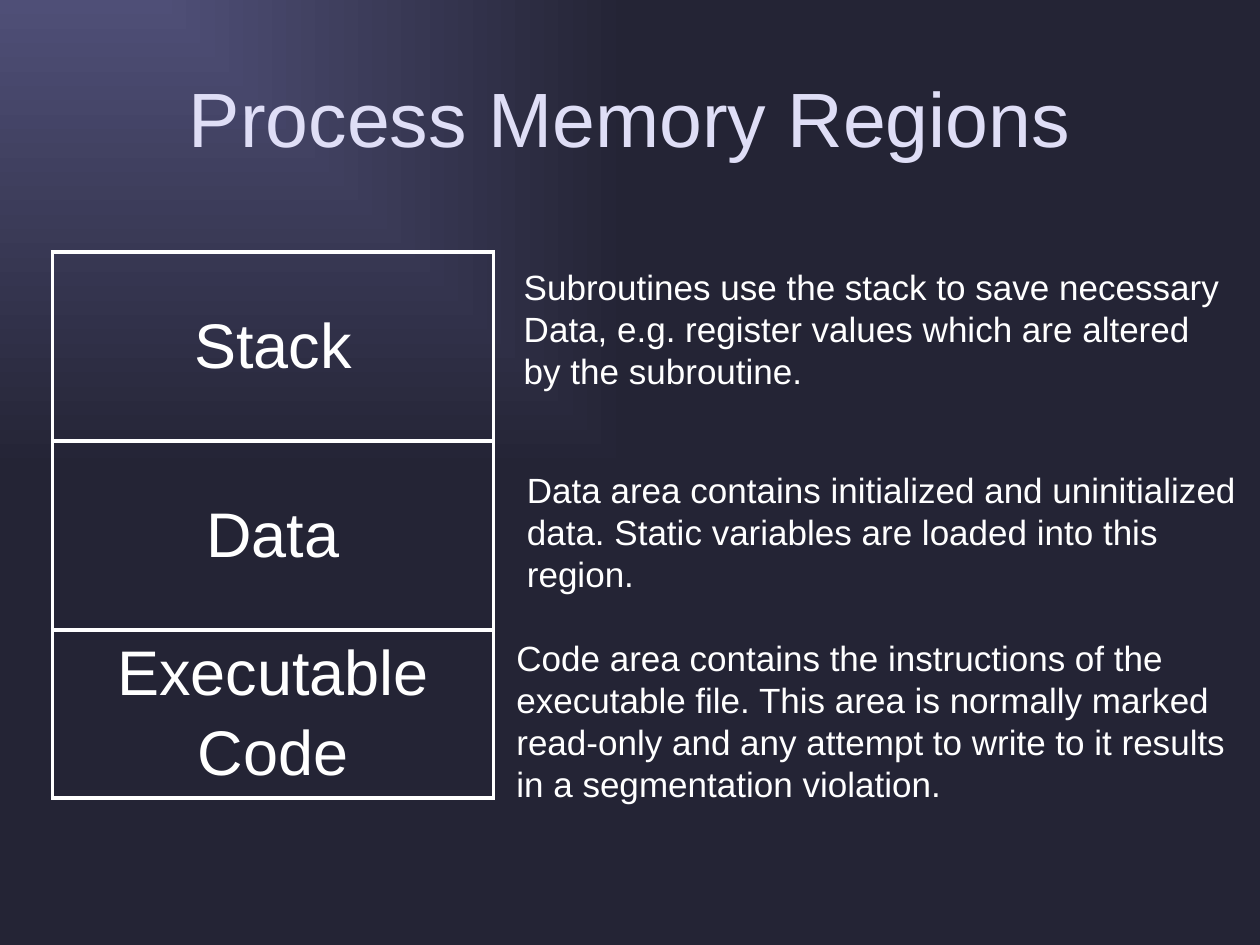
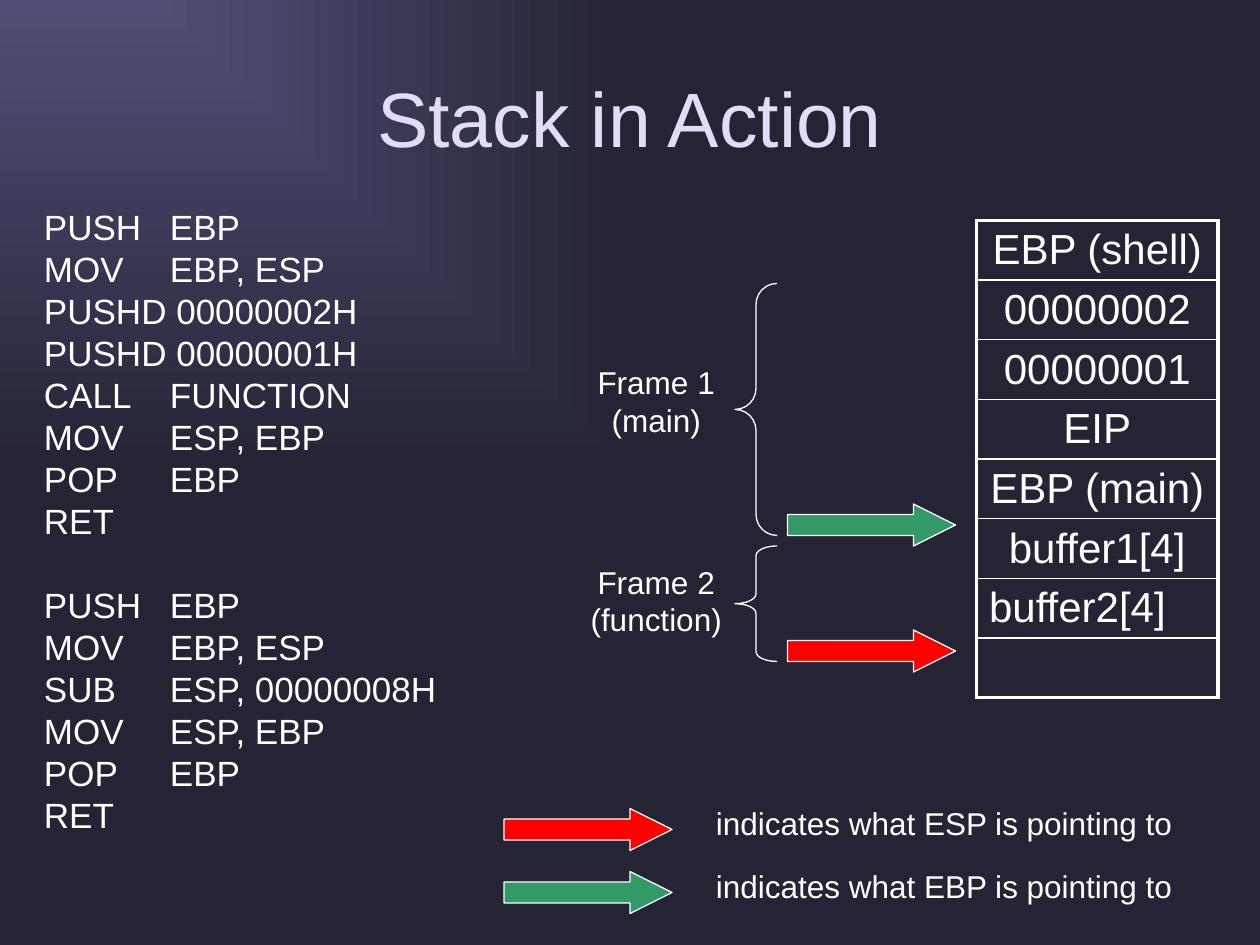
"""Build two slides on process memory regions and the stack in action."""
from dataclasses import dataclass

from lxml.etree import SubElement
from pptx import Presentation
from pptx.dml.color import RGBColor
from pptx.enum.shapes import MSO_SHAPE
from pptx.enum.text import MSO_ANCHOR, MSO_AUTO_SIZE, PP_ALIGN
from pptx.oxml.ns import qn
from pptx.util import Inches, Pt


@dataclass(frozen=True)
class Theme:
    font: str = "Arial"
    text: str = "FFFFFF"
    title: str = "DFDEF6"
    glow: str = "4F4F77"
    night: str = "242435"
    esp: str = "FF0000"
    ebp: str = "339966"
    title_size: int = 44
    region_size: int = 36
    stack_size: int = 24
    body_size: int = 20
    label_size: int = 18
    thick: float = 2.25
    thin: float = 1
    outline: float = 0.75


THEME = Theme()
COLUMNS, ROWS = 120, 90
UNIT = Inches(10) / COLUMNS
TITLE_BOX = (6, 3.6, 108, 15)

REGION_LEFT, REGION_WIDTH = 5, 42
REGIONS = [
    {"name": ["Stack"], "top": 24, "height": 18, "box": (48.7, 24.7, 70, 13.2),
     "note": ["Subroutines use the stack to save necessary",
              "Data, e.g. register values which are altered",
              "by the subroutine."]},
    {"name": ["Data"], "top": 42, "height": 18, "box": (49, 44, 71, 13.2),
     "note": ["Data area contains initialized and uninitialized data. "
              "Static variables are loaded into this region."]},
    {"name": ["Executable", "Code"], "top": 60, "height": 16, "box": (48, 60, 72, 17.2),
     "note": ["Code area contains the instructions of the executable file. "
              "This area is normally marked read-only and any attempt to write "
              "to it results in a segmentation violation."]},
]

MAIN_CODE = ["PUSH\tEBP", "MOV\tEBP, ESP", "PUSHD 00000002H", "PUSHD 00000001H",
             "CALL\tFUNCTION", "MOV\tESP, EBP", "POP\tEBP", "RET"]
FUNCTION_CODE = ["PUSH\tEBP", "MOV\tEBP, ESP", "SUB\tESP, 00000008H",
                 "MOV\tESP, EBP", "POP\tEBP", "RET"]
CODE_BOX = (3, 19, 45, 61.2)

STACK = ["EBP (shell)", "00000002", "00000001", "EIP", "EBP (main)",
         "buffer1[4]", "buffer2[4]", ""]
LEFT_ALIGNED_SLOT = "buffer2[4]"
STACK_LEFT, STACK_TOP, STACK_WIDTH, SLOT_HEIGHT = 93, 21, 23, 5.68

FRAMES = [
    {"lines": ["Frame 1", "(main)"], "text_top": 34, "top": 27, "height": 24, "curve": 0.5},
    {"lines": ["Frame 2", "(function)"], "text_top": 53, "top": 52, "height": 11, "curve": 0.23},
]
POINTERS = [
    {"color": THEME.esp, "top": 60, "legend_top": 77,
     "legend": "indicates what ESP is pointing to"},
    {"color": THEME.ebp, "top": 48, "legend_top": 83,
     "legend": "indicates what EBP is pointing to"},
]
ARROW_WIDTH, ARROW_HEIGHT = 16, 4


def place(*lengths):
    return [round(length * UNIT) for length in lengths]


def write(frame, lines, size, color=THEME.text, align=PP_ALIGN.LEFT):
    for index, line in enumerate(lines):
        paragraph = frame.add_paragraph() if index else frame.paragraphs[0]
        paragraph.text = line
        paragraph.alignment = align
        paragraph.font.name = THEME.font
        paragraph.font.size = Pt(size)
        paragraph.font.color.rgb = RGBColor.from_string(color)


def add_text(slide, box, lines, size, **style):
    frame = slide.shapes.add_textbox(*place(*box)).text_frame
    frame.word_wrap = True
    frame.auto_size = MSO_AUTO_SIZE.NONE
    write(frame, lines, size, **style)
    return frame


def set_borders(cell, widths):
    properties = cell._tc.get_or_add_tcPr()
    for side, width in zip("LRTB", widths):
        line = SubElement(properties, qn(f"a:ln{side}"), w=str(Pt(width)))
        fill = SubElement(line, qn("a:solidFill"))
        SubElement(fill, qn("a:srgbClr"), val=THEME.text)
    cell.fill.background()


def add_cells(slide, left, top, width, row_height, labels, size):
    box = place(left, top, width, row_height * len(labels))
    table = slide.shapes.add_table(len(labels), 1, *box).table
    table.first_row = table.horz_banding = False
    last = len(labels) - 1
    for index, lines in enumerate(labels):
        table.rows[index].height = place(row_height)[0]
        cell = table.cell(index, 0)
        cell.vertical_anchor = MSO_ANCHOR.MIDDLE
        align = PP_ALIGN.LEFT if LEFT_ALIGNED_SLOT in lines else PP_ALIGN.CENTER
        write(cell.text_frame, lines, size, align=align)
        for paragraph in cell.text_frame.paragraphs[1:]:
            paragraph.space_before = Pt(size * 0.15)
        upper = THEME.thin if index else THEME.thick
        lower = THEME.thin if index < last else THEME.thick
        set_borders(cell, (THEME.thick, THEME.thick, upper, lower))


def add_outline(slide, kind, box, adjustments, color=None):
    shape = slide.shapes.add_shape(kind, *place(*box))
    shape.shadow.inherit = False
    for index, value in enumerate(adjustments):
        shape.adjustments[index] = value
    if color:
        shape.fill.solid()
        shape.fill.fore_color.rgb = RGBColor.from_string(color)
    else:
        shape.fill.background()
    shape.line.color.rgb = RGBColor.from_string(THEME.text)
    shape.line.width = Pt(THEME.outline)


def add_arrow(slide, left, top, color):
    add_outline(slide, MSO_SHAPE.RIGHT_ARROW, (left, top, ARROW_WIDTH, ARROW_HEIGHT),
                (0.5, 1), color)


def paint_background(master):
    fill = master.background.fill
    fill.gradient()
    for stop, color in zip(fill.gradient_stops, (THEME.glow, THEME.night)):
        stop.color.rgb = RGBColor.from_string(color)
    gradient = next(master.element.iter(qn("a:gradFill")))
    gradient.remove(gradient.find(qn("a:lin")))
    corner = SubElement(gradient, qn("a:path"), path="rect")
    SubElement(corner, qn("a:fillToRect"), r="100000", b="100000")


def add_titled_slide(presentation, title):
    slide = presentation.slides.add_slide(presentation.slide_layouts[6])
    frame = add_text(slide, TITLE_BOX, [title], THEME.title_size,
                     color=THEME.title, align=PP_ALIGN.CENTER)
    frame.vertical_anchor = MSO_ANCHOR.MIDDLE
    return slide


def build_regions(presentation):
    slide = add_titled_slide(presentation, "Process Memory Regions")
    for region in REGIONS:
        add_cells(slide, REGION_LEFT, region["top"], REGION_WIDTH, region["height"],
                  [region["name"]], THEME.region_size)
        add_text(slide, region["box"], region["note"], THEME.body_size)


def build_stack(presentation):
    slide = add_titled_slide(presentation, "Stack in Action")
    add_cells(slide, STACK_LEFT, STACK_TOP, STACK_WIDTH, SLOT_HEIGHT,
              [[slot] for slot in STACK], THEME.stack_size)
    for pointer in POINTERS:
        add_arrow(slide, 75, pointer["top"], pointer["color"])
        add_arrow(slide, 48, pointer["legend_top"], pointer["color"])
        add_text(slide, (67, pointer["legend_top"] - 1, 48, 4.8),
                 [pointer["legend"]], THEME.label_size)
    for frame in FRAMES:
        add_outline(slide, MSO_SHAPE.LEFT_BRACE, (70, frame["top"], 4, frame["height"]),
                    (frame["curve"], 0.5))
        add_text(slide, (54, frame["text_top"], 17, 8.4), frame["lines"],
                 THEME.label_size, align=PP_ALIGN.CENTER)
    code = add_text(slide, CODE_BOX, MAIN_CODE + FUNCTION_CODE, THEME.body_size)
    code.paragraphs[len(MAIN_CODE)].space_before = Pt(THEME.body_size * 1.2)


def main():
    presentation = Presentation()
    presentation.slide_width, presentation.slide_height = place(COLUMNS, ROWS)
    paint_background(presentation.slide_master)
    build_regions(presentation)
    build_stack(presentation)
    presentation.save("out.pptx")


if __name__ == "__main__":
    main()
